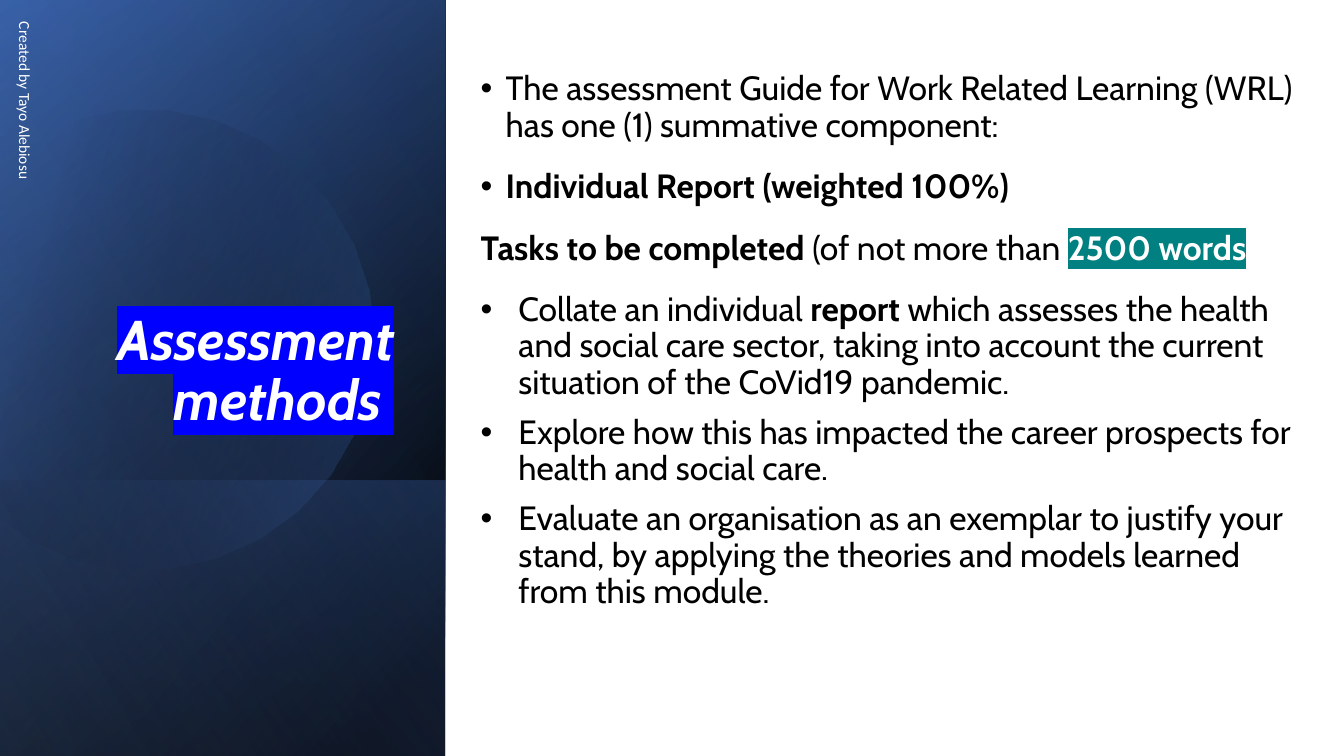
from dataclasses import dataclass
from math import cos, radians, sin

from pptx import Presentation
from pptx import oxml
from pptx.dml.color import RGBColor
from pptx.enum import shapes, text
from pptx.oxml import ns
from pptx.util import Cm, Pt


@dataclass(frozen=True)
class Theme:
    font: str = "Cabin"
    small: str = "Calibri"
    white: str = "FFFFFF"
    black: str = "000000"
    navy: str = "2F5597"
    blue: str = "4472C4"
    pale: str = "8FAADC"
    mark: str = "0000FF"
    teal: str = "008080"
    head: int = 40
    body: int = 24
    note: int = 11


class Deck:
    def __init__(self, theme):
        self.theme = theme
        self.prs = Presentation()
        self.prs.slide_width, self.prs.slide_height = Cm(33.87), Cm(19.05)
        self.slide = self.prs.slides.add_slide(self.prs.slide_layouts[1])

    def sheet(self):
        """Cover the whole slide with plain white."""
        shape = self.slide.shapes.add_shape(
            shapes.MSO_SHAPE.RECTANGLE, 0, 0, self.prs.slide_width, self.prs.slide_height)
        shape.shadow.inherit = False
        shape.line.fill.background()
        shape.fill.solid()
        shape.fill.fore_color.rgb = RGBColor.from_string(self.theme.white)

    def fade(self, shape, stops, angle):
        """Fill with a linear gradient; stops are (place, colour, opacity) in percent."""
        shape.shadow.inherit = False
        shape.line.fill.background()
        shape.fill.background()
        marks = "".join(
            f'<a:gs pos="{place * 1000}"><a:srgbClr val="{colour}">'
            f'<a:alpha val="{alpha * 1000}"/></a:srgbClr></a:gs>'
            for place, colour, alpha in stops)
        grad = oxml.parse_xml(
            f'<a:gradFill {ns.nsdecls("a")} rotWithShape="1"><a:gsLst>{marks}</a:gsLst>'
            f'<a:lin ang="{angle * 60000}" scaled="0"/></a:gradFill>')
        props = shape.element.spPr
        props.replace(props.find(ns.qn("a:noFill")), grad)

    def panel(self, top, width, height, stops, angle):
        """Add a mirrored quarter-turned rectangle on the left edge, sized as it shows."""
        shift = (width - height) / 2
        shape = self.slide.shapes.add_shape(
            shapes.MSO_SHAPE.RECTANGLE, Cm(shift), Cm(top - shift), Cm(height), Cm(width))
        shape.rotation = 90
        shape.element.spPr.xfrm.set("flipH", "1")
        self.fade(shape, stops, angle)

    def disc(self, x, y, radius, sweep, tilt, stops, angle):
        """Add a circle cut straight on its left, drawn tilted and turned back upright."""
        turns = [radians(a + tilt) for a in range(-sweep, sweep + 1, 12)]
        points = [(Cm(x + radius * cos(t)), Cm(y + radius * sin(t))) for t in turns]
        path = self.slide.shapes.build_freeform(*points[0], scale=1.0)
        path.add_line_segments(points[1:], close=True)
        shape = path.convert_to_shape()
        shape.rotation = -tilt
        self.fade(shape, stops, angle)

    def place(self, shape, left, top, width, height):
        """Position a placeholder in front of everything drawn so far."""
        shape.left, shape.top, shape.width, shape.height = map(Cm, (left, top, width, height))
        shape.element.getparent().append(shape.element)
        frame = shape.text_frame
        frame.word_wrap = True
        frame.auto_size = text.MSO_AUTO_SIZE.NONE
        return frame

    def style(self, run, size, colour, name=None, bold=False, italic=False, mark=None):
        font = run.font
        font.name, font.size = name or self.theme.font, Pt(size)
        font.bold, font.italic = bold, italic
        font.color.rgb = RGBColor.from_string(colour)
        if mark:
            light = oxml.parse_xml(
                f'<a:highlight {ns.nsdecls("a")}><a:srgbClr val="{mark}"/></a:highlight>')
            run._r.rPr.find(ns.qn("a:solidFill")).addnext(light)

    def title(self, words, *box):
        frame = self.place(self.slide.shapes.title, *box)
        frame.text = words
        frame.vertical_anchor = text.MSO_ANCHOR.BOTTOM
        para = frame.paragraphs[0]
        para.alignment, para.line_spacing = text.PP_ALIGN.RIGHT, 0.9
        look = self.theme
        self.style(para.runs[0], look.head, look.white, bold=True, italic=True, mark=look.mark)

    def list(self, items, *box):
        """Fill the body; items are (indent, space after, runs), no indent means no bullet."""
        frame = self.place(self.slide.placeholders[1], *box)
        frame.vertical_anchor = text.MSO_ANCHOR.MIDDLE
        frame.margin_bottom = Cm(1.19)
        for index, (indent, after, runs) in enumerate(items):
            para = frame.add_paragraph() if index else frame.paragraphs[0]
            props = para._p.get_or_add_pPr()
            props.set("marL", str(Cm(indent)))
            props.set("indent", str(-Cm(indent)))
            bullet = '<a:buChar {} char="•"/>' if indent else "<a:buNone {}/>"
            if indent:
                props.append(oxml.parse_xml(f'<a:buFont {ns.nsdecls("a")} typeface="Arial"/>'))
            props.append(oxml.parse_xml(bullet.format(ns.nsdecls("a"))))
            para.line_spacing = 0.9
            para.space_before, para.space_after = Pt(10 if index else 0), Pt(after)
            for words, bold, colour, mark in runs:
                run = para.add_run()
                run.text = words
                self.style(run, self.theme.body, colour, bold=bold, mark=mark)

    def credit(self, words, left, top, width, height):
        box = self.slide.shapes.add_textbox(*map(Cm, (left, top, width, height)))
        box.rotation = 90
        frame = box.text_frame
        frame.word_wrap = True
        frame.vertical_anchor = text.MSO_ANCHOR.MIDDLE
        frame.text = words
        para = frame.paragraphs[0]
        para.space_after = Pt(6)
        self.style(para.runs[0], self.theme.note, self.theme.white, self.theme.small)


def main():
    look = Theme()
    deck = Deck(look)
    wide, tall, low = 11.22, 19.05, 6.95
    deck.sheet()
    deck.panel(0, wide, tall, [(8, look.black, 100), (100, look.navy, 100)], 50)
    deck.panel(0, wide, tall, [(0, look.black, 0), (99, look.blue, 46)], 30)
    deck.panel(tall - low, wide, low, [(2, look.blue, 29), (100, look.black, 30)], 130)
    deck.disc(3.63, 8.45, 5.8, 132, 16.1, [(29, look.black, 0), (100, look.blue, 43)], 30)
    deck.panel(0, wide, tall, [(0, look.black, 0), (99, look.pale, 11)], 120)

    deck.title("Assessment methods ", 1.3, 1.63, 8.89, 9.4)
    deck.credit("Created by Tayo Alebiosu", -5.08, 5.51, 11.43, 1.02)
    near, far = 0.63, 0.95
    plain, strong = (False, look.black, None), (True, look.black, None)
    deck.list([
        (near, 8, [("The assessment Guide for Work Related Learning (WRL) has one (1) "
                    "summative component:", *plain)]),
        (near, 8, [("Individual Report (weighted 100%)", *strong)]),
        (0, 8, [("Tasks to be completed ", *strong),
                ("(of not more than ", *plain),
                ("2500 words", True, look.white, look.teal),
                (")", False, look.white, None)]),
        (far, 0, [("Collate an individual ", *plain),
                  ("report", *strong),
                  (" which assesses the health and social care sector, taking into account "
                   "the current situation of the CoVid19 pandemic.", *plain)]),
        (far, 0, [("Explore how this has impacted the career prospects for health and "
                   "social care.", *plain)]),
        (far, 8, [("Evaluate an organisation as an exemplar to justify your stand, by "
                   "applying the theories and models learned from this module.", *plain)]),
    ], 11.86, 1.04, 21.29, 16.18)
    deck.prs.save("out.pptx")


if __name__ == "__main__":
    main()
